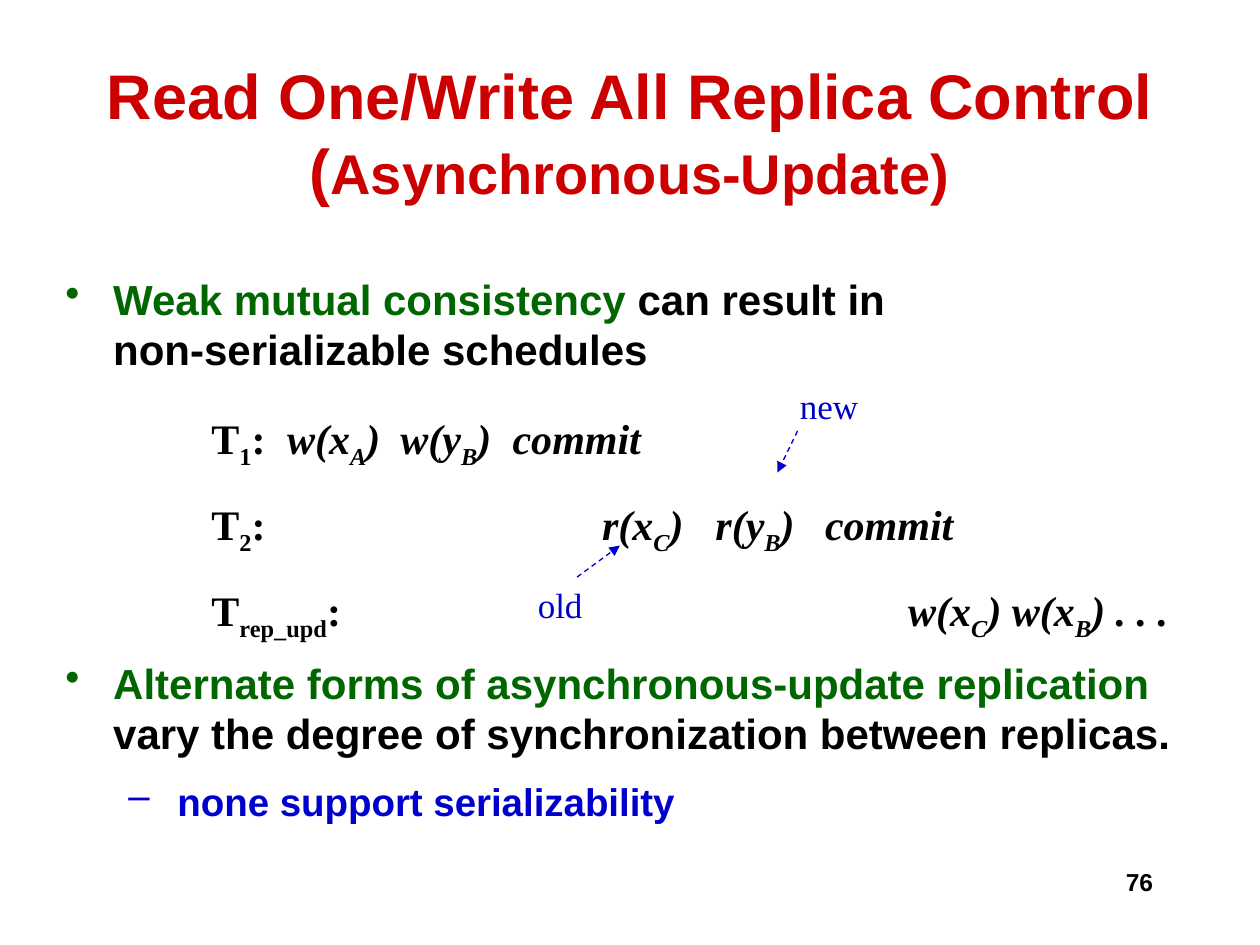
from dataclasses import dataclass
from typing import Optional, Sequence

from lxml.etree import SubElement
from pptx import Presentation
from pptx.dml.color import RGBColor
from pptx.enum.dml import MSO_LINE_DASH_STYLE as Dash
from pptx.enum.shapes import MSO_CONNECTOR_TYPE as Connector
from pptx.enum.text import MSO_ANCHOR as Anchor, PP_ALIGN as Align
from pptx.oxml.ns import qn
from pptx.util import Inches, Pt


@dataclass(frozen=True)
class Theme:
    sans: str = "Arial"
    serif: str = "Times New Roman"
    red: str = "CC0000"
    green: str = "006600"
    blue: str = "0000CC"
    black: str = "000000"
    title: int = 36
    subtitle: int = 32
    body: int = 24
    detail: int = 22
    label: int = 20
    number: int = 14


THEME = Theme()


@dataclass(frozen=True)
class Span:
    text: str
    size: int
    color: str
    font: str = THEME.sans
    bold: bool = True
    italic: bool = False
    subscript: bool = False
    new_line: bool = False


@dataclass(frozen=True)
class Bullet:
    mark: str
    margin: float
    hanging: float
    space_before: float
    spans: Sequence[Span]


@dataclass(frozen=True)
class Row:
    """One transaction; odd pieces between bars are subscripts."""
    name: str
    steps: str
    stops: Sequence[float]


@dataclass(frozen=True)
class Callout:
    text: str
    box: tuple
    start: tuple
    end: tuple


BULLETS_TOP = [
    Bullet("•", 0.38, 0.38, 0, [
        Span("Weak mutual consistency ", THEME.body, THEME.green),
        Span("can result in", THEME.body, THEME.black),
        Span("non-serializable schedules", THEME.body, THEME.black, new_line=True),
    ]),
]
BULLETS_BOTTOM = [
    Bullet("•", 0.38, 0.38, 0, [
        Span("Alternate forms of asynchronous-update replication ", THEME.body, THEME.green),
        Span("vary the degree of synchronization between replicas.", THEME.body, THEME.black),
    ]),
    Bullet("–", 0.89, 0.39, 11, [
        Span("none support serializability", THEME.detail, THEME.blue),
    ]),
]
SCHEDULE = [
    Row("T|1|:", "\tw(x|A|)\tw(y|B|)\tcommit", (0.6, 1.5, 2.39)),
    Row("T|2|:", "\tr(x|C|)\tr(y|B|)\tcommit", (3.1, 4.0, 4.87)),
    Row("T|rep_upd|:", "\tw(x|C|) w(x|B|) . . .", (5.53,)),
]
CALLOUTS = [
    Callout("new", (6.25, 3, 0.67, 0.43), (6.33, 3.42), (6.17, 3.75)),
    Callout("old", (4.17, 4.58, 0.56, 0.43), (4.58, 4.58), (4.92, 4.33)),
]


def add_box(page, left: float, top: float, width: float, height: float):
    box = page.shapes.add_textbox(Inches(left), Inches(top), Inches(width), Inches(height))
    box.text_frame.word_wrap = True
    return box.text_frame


def paragraphs(frame, count: int):
    for _ in range(count - 1):
        frame.add_paragraph()
    return frame.paragraphs


def write(para, spans: Sequence[Span]) -> None:
    for span in spans:
        if span.new_line:
            para.add_line_break()
        run = para.add_run()
        run.text = span.text
        font = run.font
        font.name, font.size = span.font, Pt(span.size)
        font.bold, font.italic = span.bold, span.italic
        font.color.rgb = RGBColor.from_string(span.color)
        if span.subscript:
            font._element.set("baseline", "-25000")


def add_title(page) -> None:
    frame = add_box(page, 0, 0.42, 10, 1.25)
    frame.vertical_anchor = Anchor.MIDDLE
    para = frame.paragraphs[0]
    para.alignment = Align.CENTER
    write(para, [
        Span("Read One/Write All Replica Control", THEME.title, THEME.red),
        Span("(", THEME.title, THEME.red, new_line=True),
        Span("Asynchronous-Update)", THEME.subtitle, THEME.red),
    ])


def add_bullets(page, top: float, height: float, bullets: Sequence[Bullet]) -> None:
    frame = add_box(page, 0.42, top, 9.08, height)
    for para, bullet in zip(paragraphs(frame, len(bullets)), bullets):
        props = para._p.get_or_add_pPr()
        props.set("marL", str(Inches(bullet.margin)))
        props.set("indent", str(-Inches(bullet.hanging)))
        SubElement(props, qn("a:buChar")).set("char", bullet.mark)
        if bullet.space_before:
            para.space_before = Pt(bullet.space_before)
        write(para, bullet.spans)


def schedule_spans(text: str, italic: bool) -> list[Span]:
    return [Span(piece, THEME.body, THEME.black, THEME.serif, italic=italic,
                 subscript=index % 2 == 1)
            for index, piece in enumerate(text.split("|"))]


def add_schedule(page, rows: Sequence[Row]) -> None:
    frame = add_box(page, 1.58, 3, 7.99, 1.9)
    for para, row in zip(paragraphs(frame, len(rows)), rows):
        para.line_spacing = 1.5
        tabs = SubElement(para._p.get_or_add_pPr(), qn("a:tabLst"))
        for stop in row.stops:
            tab = SubElement(tabs, qn("a:tab"))
            tab.set("pos", str(Inches(stop)))
            tab.set("algn", "l")
        write(para, schedule_spans(row.name, False) + schedule_spans(row.steps, True))


def add_callout(page, callout: Callout) -> None:
    frame = add_box(page, *callout.box)
    frame.word_wrap = False
    write(frame.paragraphs[0],
          [Span(callout.text, THEME.label, THEME.blue, THEME.serif, bold=False)])
    ends = [Inches(value) for value in callout.start + callout.end]
    arrow = page.shapes.add_connector(Connector.STRAIGHT, *ends)
    arrow.line.color.rgb = RGBColor.from_string(THEME.blue)
    arrow.line.width = Pt(0.75)
    arrow.line.dash_style = Dash.DASH
    SubElement(arrow.line._get_or_add_ln(), qn("a:tailEnd")).set("type", "triangle")
    SubElement(arrow._element.spPr, qn("a:effectLst"))


def add_page_number(page, number: str) -> None:
    para = add_box(page, 7.17, 6.83, 2.08, 0.5).paragraphs[0]
    para.alignment = Align.RIGHT
    write(para, [Span(number, THEME.number, THEME.black)])


def main() -> None:
    deck = Presentation()
    deck.slide_width, deck.slide_height = Inches(10), Inches(7.5)
    page = deck.slides.add_slide(deck.slide_layouts[6])
    add_page_number(page, "76")
    add_title(page)
    add_bullets(page, 2.12, 0.95, BULLETS_TOP)
    add_bullets(page, 5.17, 1.5, BULLETS_BOTTOM)
    add_schedule(page, SCHEDULE)
    for callout in CALLOUTS:
        add_callout(page, callout)
    deck.save("out.pptx")


if __name__ == "__main__":
    main()
